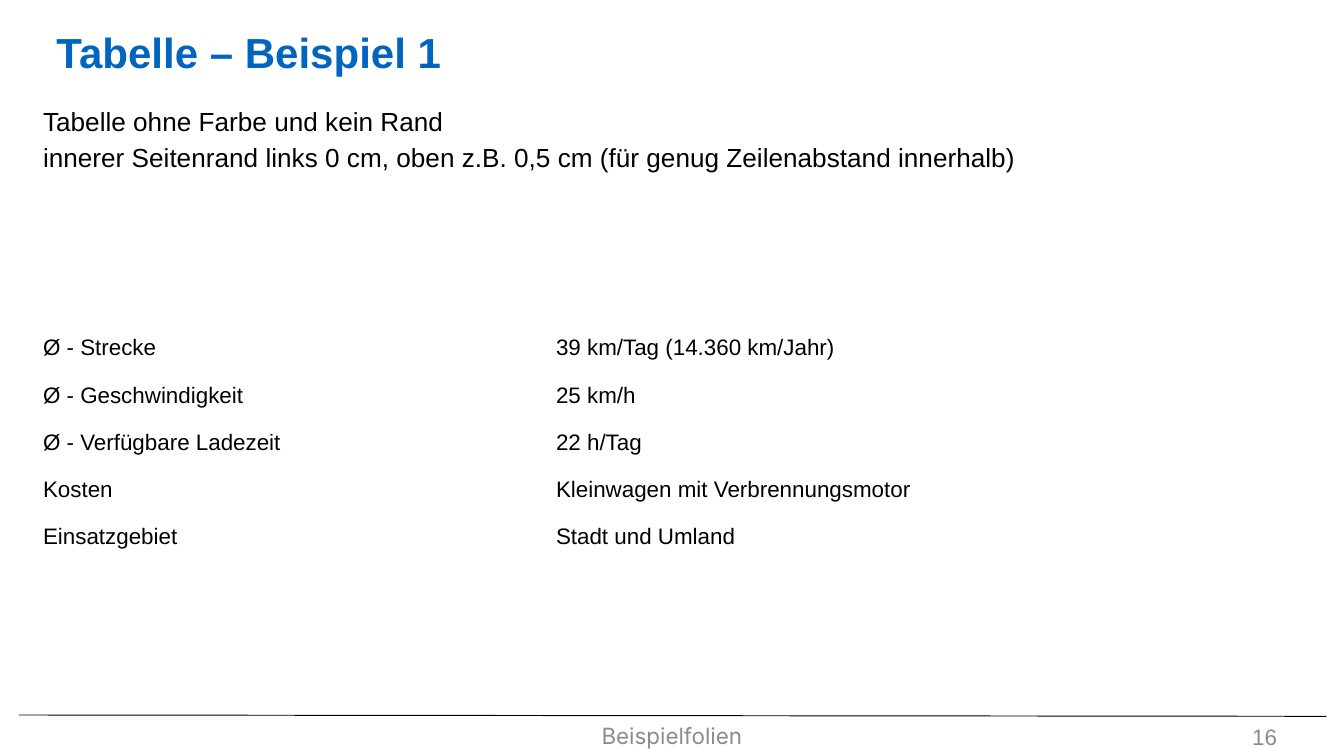
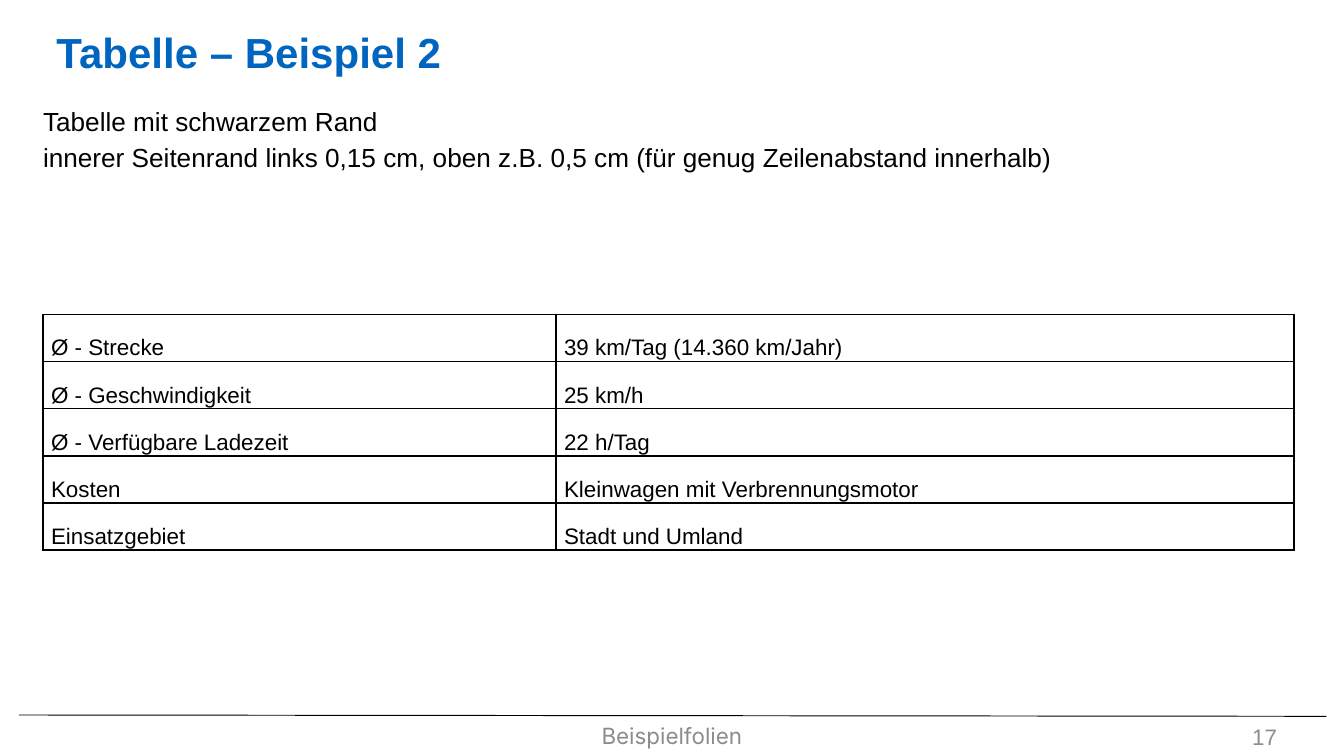
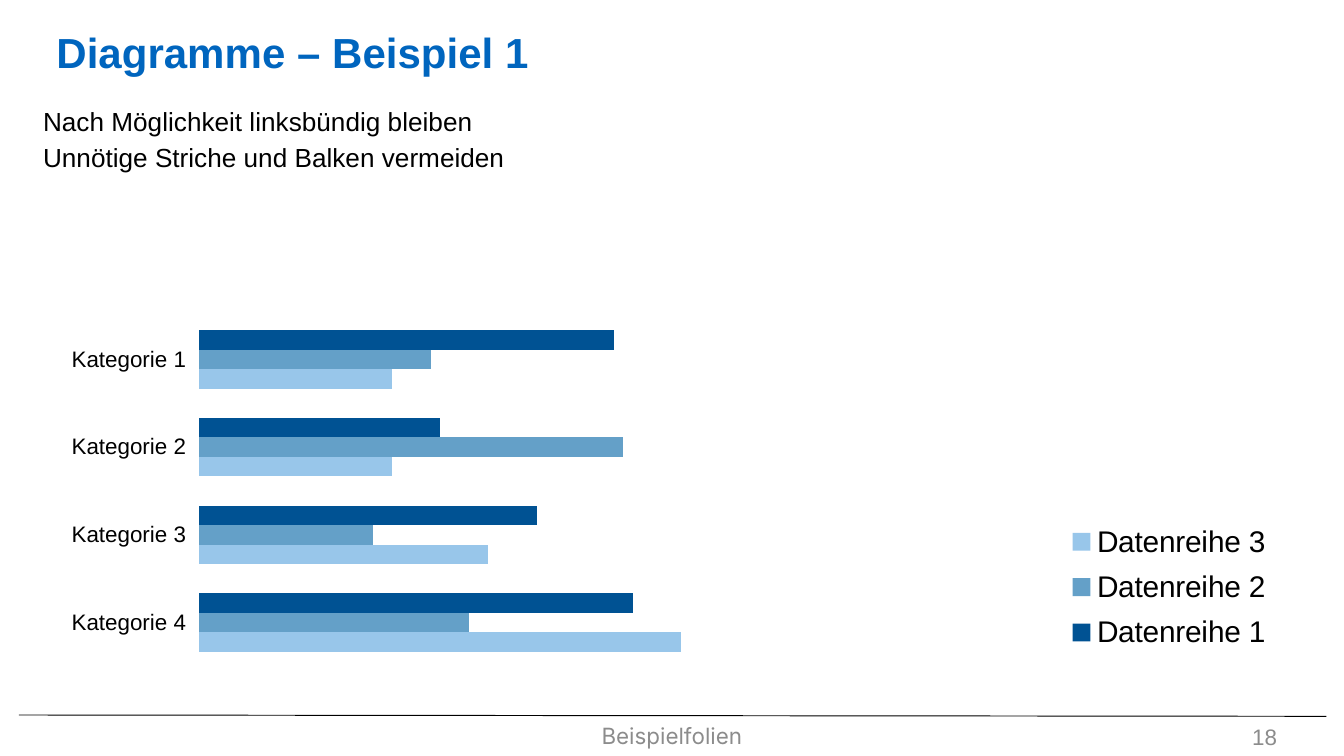
from dataclasses import dataclass

from lxml import etree
from pptx import Presentation
from pptx.chart.data import CategoryChartData
from pptx.dml.color import RGBColor
from pptx.enum.chart import XL_CHART_TYPE, XL_LEGEND_POSITION, XL_TICK_LABEL_POSITION, XL_TICK_MARK
from pptx.enum.shapes import MSO_CONNECTOR
from pptx.enum.text import MSO_ANCHOR, MSO_AUTO_SIZE, PP_ALIGN
from pptx.oxml.ns import qn
from pptx.slide import Slide
from pptx.text.text import TextFrame
from pptx.util import Emu, Inches, Pt

BAR_CLUSTERED = XL_CHART_TYPE.BAR_CLUSTERED
LEGEND_RIGHT = XL_LEGEND_POSITION.RIGHT
LABELS_LOW = XL_TICK_LABEL_POSITION.LOW
TICK_OUTSIDE = XL_TICK_MARK.OUTSIDE
STRAIGHT = MSO_CONNECTOR.STRAIGHT
TOP, MIDDLE = MSO_ANCHOR.TOP, MSO_ANCHOR.MIDDLE
NO_AUTOFIT = MSO_AUTO_SIZE.NONE
LEFT, CENTER, RIGHT = PP_ALIGN.LEFT, PP_ALIGN.CENTER, PP_ALIGN.RIGHT

SLIDE_WIDTH, SLIDE_HEIGHT = Inches(10), Inches(5.625)
TITLE_ONLY_LAYOUT = 5
FIRST_PAGE_NUMBER = 16


@dataclass(frozen=True)
class TextStyle:
    size: float
    color: str
    font: str = "Arial"
    bold: bool = False
    line_spacing: float = 1.0


@dataclass(frozen=True)
class Theme:
    ink: str = "000000"
    series: tuple[str, ...] = ("005293", "64A0C8", "98C6EA")
    title: TextStyle = TextStyle(22.5, "0065BE", bold=True, line_spacing=1.25)
    body: TextStyle = TextStyle(14, "000000", line_spacing=1.14)
    table: TextStyle = TextStyle(12, "000000")
    footer: TextStyle = TextStyle(12, "8C8C8C", font="Inter")
    page_number: TextStyle = TextStyle(12, "8C8C8C")
    axis: TextStyle = TextStyle(12, "000000")
    legend: TextStyle = TextStyle(16, "000000")


@dataclass(frozen=True)
class Area:
    """A rectangle in percent of the slide's width and height."""
    left: float
    top: float
    width: float
    height: float

    def emu(self) -> tuple[Emu, Emu, Emu, Emu]:
        return (across(self.left), down(self.top), across(self.width), down(self.height))


@dataclass(frozen=True)
class TableSpec:
    left_inset: float
    border: float


@dataclass(frozen=True)
class Page:
    title: str
    lines: tuple[str, ...]
    table: TableSpec | None = None


THEME = Theme()
MARGIN, CONTENT_WIDTH = 3.2, 93.1
TITLE_AREA = Area(MARGIN, 2.84, 56.7, 6.22)
BODY_AREA = Area(MARGIN, 13.33, CONTENT_WIDTH, 26.49)
TABLE_AREA = Area(MARGIN, 41.6, CONTENT_WIDTH, 30.93)
CHART_AREA = Area(MARGIN, 41.6, CONTENT_WIDTH, 49.42)
FOOTER_AREA = Area(23, 95.11, 54, 4.44)
NUMBER_AREA = Area(88.6, 95.29, 7.4, 4.27)
RULE_START, RULE_END = (98.7, 94.76), (1.4, 94.58)

PLOT_LAYOUT = {"x": 0.125, "y": 0.003, "w": 0.462, "h": 0.94}
LEGEND_LAYOUT = {"x": 0.8, "y": 0.53, "w": 0.2, "h": 0.4}

FIRST_COLUMN_SHARE = 0.41
CELL_TOP_INSET = 0.15
VEHICLE_ROWS = (
    ("Ø - Strecke", "39 km/Tag (14.360 km/Jahr)"),
    ("Ø - Geschwindigkeit", "25 km/h"),
    ("Ø - Verfügbare Ladezeit", "22 h/Tag"),
    ("Kosten", "Kleinwagen mit Verbrennungsmotor"),
    ("Einsatzgebiet", "Stadt und Umland"),
)
CATEGORIES = tuple(f"Kategorie {number}" for number in range(1, 5))
SERIES_VALUES = ((86, 50, 70, 90), (48, 88, 36, 56), (40, 40, 60, 100))

PAGES = (
    Page(
        "Tabelle – Beispiel 1",
        ("Tabelle ohne Farbe und kein Rand",
         "innerer Seitenrand links 0 cm, oben z.B. 0,5 cm (für genug Zeilenabstand innerhalb)"),
        TableSpec(left_inset=0, border=0),
    ),
    Page(
        "Tabelle – Beispiel 2",
        ("Tabelle mit schwarzem Rand",
         "innerer Seitenrand links 0,15 cm, oben z.B. 0,5 cm (für genug Zeilenabstand innerhalb)"),
        TableSpec(left_inset=0.06, border=1),
    ),
    Page(
        "Diagramme – Beispiel 1",
        ("Nach Möglichkeit linksbündig bleiben", "Unnötige Striche und Balken vermeiden"),
    ),
)


def across(percent: float) -> Emu:
    return Emu(round(SLIDE_WIDTH * percent / 100))


def down(percent: float) -> Emu:
    return Emu(round(SLIDE_HEIGHT * percent / 100))


def style_font(font, style: TextStyle) -> None:
    font.name = style.font
    font.size = Pt(style.size)
    font.bold = style.bold
    font.color.rgb = RGBColor.from_string(style.color)


def write(frame: TextFrame, lines: tuple[str, ...], style: TextStyle, align=LEFT) -> None:
    """Fill a frame with one paragraph whose lines are parted by line breaks."""
    para = frame.paragraphs[0]
    para.alignment = align
    para.line_spacing = style.line_spacing
    for index, line in enumerate(lines):
        if index:
            para.add_line_break()
        span = para.add_run()
        span.text = line
        style_font(span.font, style)


def add_text(slide: Slide, area: Area, lines: tuple[str, ...], style: TextStyle,
             align=LEFT, anchor=MIDDLE, inset: float | None = None) -> None:
    frame = slide.shapes.add_textbox(*area.emu()).text_frame
    frame.word_wrap = True
    frame.vertical_anchor = anchor
    if inset is not None:
        frame.margin_left = frame.margin_right = Inches(inset)
        frame.margin_top = frame.margin_bottom = Inches(inset)
    write(frame, lines, style, align)


def add_title(slide: Slide, text: str) -> None:
    box = slide.shapes.title
    box.left, box.top, box.width, box.height = TITLE_AREA.emu()
    frame = box.text_frame
    frame.auto_size = NO_AUTOFIT
    frame.vertical_anchor = MIDDLE
    write(frame, (text,), THEME.title)


def add_footer(slide: Slide, number: int) -> None:
    rule = slide.shapes.add_connector(
        STRAIGHT, across(RULE_START[0]), down(RULE_START[1]), across(RULE_END[0]), down(RULE_END[1]))
    rule.line.width = Pt(0.5)
    rule.line.color.rgb = RGBColor.from_string(THEME.ink)
    etree.SubElement(rule.element.spPr, qn("a:effectLst"))
    add_text(slide, FOOTER_AREA, ("Beispielfolien",), THEME.footer, CENTER)
    add_text(slide, NUMBER_AREA, (str(number),), THEME.page_number, RIGHT)


def set_borders(cell, width: float) -> None:
    """Draw all four cell borders, or hide them when the width is zero."""
    properties = cell._tc.get_or_add_tcPr()
    for side in ("lnL", "lnR", "lnT", "lnB"):
        border = etree.SubElement(properties, qn(f"a:{side}"), w=str(Pt(width)))
        if width:
            fill = etree.SubElement(border, qn("a:solidFill"))
            etree.SubElement(fill, qn("a:srgbClr"), val=THEME.ink)
        else:
            etree.SubElement(border, qn("a:noFill"))


def add_vehicle_table(slide: Slide, spec: TableSpec) -> None:
    left, top, width, height = TABLE_AREA.emu()
    table = slide.shapes.add_table(len(VEHICLE_ROWS), 2, left, top, width, height).table
    table.first_row = table.horz_banding = False
    table.columns[0].width = Emu(round(width * FIRST_COLUMN_SHARE))
    table.columns[1].width = Emu(width - table.columns[0].width)
    for row, texts in enumerate(VEHICLE_ROWS):
        for column, text in enumerate(texts):
            cell = table.cell(row, column)
            cell.margin_left, cell.margin_top = Inches(spec.left_inset), Inches(CELL_TOP_INSET)
            cell.margin_right = cell.margin_bottom = 0
            cell.vertical_anchor = MIDDLE
            set_borders(cell, spec.border)
            cell.fill.background()
            write(cell.text_frame, (text,), THEME.table)


def place_in_chart(part, index: int, shares: dict[str, float], inner: bool = False) -> None:
    """Give a plot area or legend a fixed place, in shares of the chart."""
    for old in part.findall(qn("c:layout")):
        part.remove(old)
    layout = etree.Element(qn("c:layout"))
    manual = etree.SubElement(layout, qn("c:manualLayout"))
    if inner:
        etree.SubElement(manual, qn("c:layoutTarget"), val="inner")
    for name in ("x", "y"):
        etree.SubElement(manual, qn(f"c:{name}Mode"), val="edge")
    for name, share in shares.items():
        etree.SubElement(manual, qn(f"c:{name}"), val=str(share))
    part.insert(index, layout)


def add_bar_chart(slide: Slide) -> None:
    data = CategoryChartData()
    data.categories = CATEGORIES
    for number, values in enumerate(SERIES_VALUES, start=1):
        data.add_series(f"Datenreihe {number}", values)
    chart = slide.shapes.add_chart(BAR_CLUSTERED, *CHART_AREA.emu(), data).chart
    chart.has_title = False
    style_font(chart.font, THEME.legend)

    plot = chart.plots[0]
    plot.gap_width, plot.overlap = 150, 0
    plot.vary_by_categories = False
    for series, color in zip(plot.series, THEME.series):
        series.format.fill.solid()
        series.format.fill.fore_color.rgb = RGBColor.from_string(color)

    categories = chart.category_axis
    categories.reverse_order = True
    categories.major_tick_mark = TICK_OUTSIDE
    categories.tick_label_position = LABELS_LOW
    categories.format.line.fill.background()
    style_font(categories.tick_labels.font, THEME.axis)
    values = chart.value_axis
    values.minimum_scale, values.maximum_scale = 0, 120
    values.has_major_gridlines = False
    values.visible = False

    chart.has_legend = True
    chart.legend.position = LEGEND_RIGHT
    chart.legend.include_in_layout = False
    style_font(chart.legend.font, THEME.legend)
    body = chart.element.find(qn("c:chart"))
    place_in_chart(body.find(qn("c:plotArea")), 0, PLOT_LAYOUT, inner=True)
    place_in_chart(body.find(qn("c:legend")), 1, LEGEND_LAYOUT)


def main() -> None:
    deck = Presentation()
    deck.slide_width, deck.slide_height = SLIDE_WIDTH, SLIDE_HEIGHT
    for number, page in enumerate(PAGES, start=FIRST_PAGE_NUMBER):
        slide = deck.slides.add_slide(deck.slide_layouts[TITLE_ONLY_LAYOUT])
        add_title(slide, page.title)
        add_footer(slide, number)
        if page.table:
            add_vehicle_table(slide, page.table)
        else:
            add_bar_chart(slide)
        add_text(slide, BODY_AREA, page.lines, THEME.body, anchor=TOP, inset=0)
    deck.save("out.pptx")


if __name__ == "__main__":
    main()
